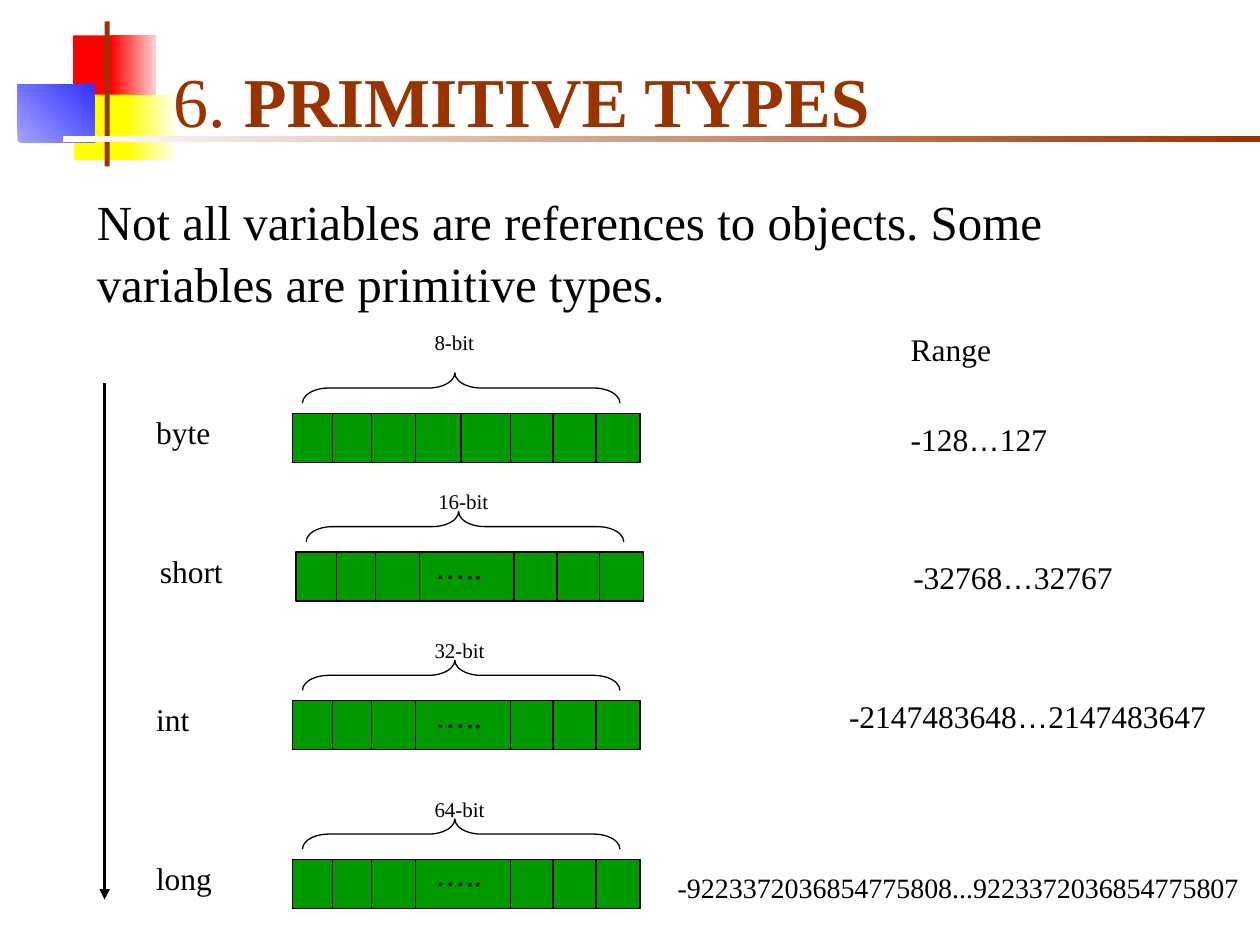
from lxml import etree
from pptx import Presentation
from pptx.dml.color import RGBColor
from pptx.enum.shapes import MSO_CONNECTOR, MSO_SHAPE
from pptx.enum.text import MSO_ANCHOR, PP_ALIGN
from pptx.oxml.ns import qn
from pptx.util import Inches, Pt

RECTANGLE, LEFT_BRACE = MSO_SHAPE.RECTANGLE, MSO_SHAPE.LEFT_BRACE
STRAIGHT = MSO_CONNECTOR.STRAIGHT
TOP, MIDDLE, BOTTOM = MSO_ANCHOR.TOP, MSO_ANCHOR.MIDDLE, MSO_ANCHOR.BOTTOM
LEFT = PP_ALIGN.LEFT
SERIF, SANS = "Times New Roman", "Arial"
COLORS = {
    "red": "FF0000", "pale red": "FFD1D1",
    "yellow": "FFFF00", "pale yellow": "FFFFEF",
    "blue": "3333FF", "pale blue": "A3A3FF",
    "brown": "993300", "white": "FFFFFF",
    "green": "009900", "black": "000000",
}
RGB = {name: RGBColor.from_string(value) for name, value in COLORS.items()}

prs = Presentation()
prs.slide_width, prs.slide_height = Inches(10), Inches(7.5)
slide = prs.slides.add_slide(prs.slide_layouts[5])
shapes = slide.shapes


def write(text, box=None, at=None, size=18, color="black", bold=False,
          anchor=MIDDLE, wrap=False):
    if box is None:
        box = shapes.add_textbox(*map(Inches, at))
    frame = box.text_frame
    frame.word_wrap = wrap
    frame.vertical_anchor = anchor
    paragraph = frame.paragraphs[0]
    paragraph.alignment = LEFT
    for part in filter(None, text.partition("…")):
        run = paragraph.add_run()
        run.text = part
        run.font.size = Pt(size)
        run.font.name = SANS if part == "…" else SERIF
        run.font.bold = bold
        run.font.color.rgb = RGB[color]
    return box


def draw_line(x, top, bottom, width=0.75):
    line = shapes.add_connector(STRAIGHT, Inches(x), Inches(top), Inches(x), Inches(bottom))
    line.line.color.rgb = RGB["black"]
    line.line.width = Pt(width)
    etree.SubElement(line._element.spPr, qn("a:effectLst"))
    return line


ornaments = [
    ((0.58, 0.28, 0.36, 0.52), ["red"], 0),
    ((0.88, 0.28, 0.36, 0.52), ["pale red", "red"], 180),
    ((0.59, 0.75, 0.46, 0.52), ["yellow"], 0),
    ((1, 0.75, 0.4, 0.52), ["pale yellow", "yellow"], 180),
    ((0.14, 0.67, 0.61, 0.46), ["pale blue", "blue"], 45),
    ((0.83, 0.17, 0.04, 1.15), ["brown"], 0),
    ((0.5, 1.08, 9.5, 0.05), ["white", "brown"], 0),
]
for place, tones, angle in ornaments:
    ornament = shapes.add_shape(RECTANGLE, *map(Inches, place))
    ornament.shadow.inherit = False
    ornament.line.fill.background()
    if len(tones) == 1:
        ornament.fill.solid()
        ornament.fill.fore_color.rgb = RGB[tones[0]]
    else:
        ornament.fill.gradient()
        ornament.fill.gradient_angle = angle
        for stop, tone in zip(ornament.fill.gradient_stops, tones):
            stop.color.rgb = RGB[tone]

title = shapes.title
title._element.getparent().append(title._element)
title.left, title.top, title.width, title.height = map(Inches, (1.22, 0.25, 8.63, 0.92))
title.text_frame.margin_left = Inches(0.16)
title.text_frame.paragraphs[0].line_spacing = Pt(48)
for words, bold in [("6. ", False), ("PRIMITIVE TYPES", True)]:
    write(words, box=title, size=40, color="brown", bold=bold, anchor=BOTTOM, wrap=True)

intro = write("Not all variables are references to objects. Some variables are primitive types.",
              at=(0.67, 1.47, 9.06, 1.04), size=28, wrap=True)
intro.text_frame.paragraphs[0].line_spacing = 1.05

write("Range", at=(7.13, 2.57, 0.9, 0.4))

BAR_WIDTH, BAR_HEIGHT = 2.76, 0.39
BRACE_DEPTH, BRACE_LENGTH = 0.24, 2.52
DIVIDERS = [0.32, 0.63, 0.98, 1.34, 1.73, 2.07, 2.41]
MIDDLE_DIVIDER = 1.34

primitives = [
    ("byte", 0.69, "8-bit", 2.57, 2.32, 3.28, "-128…127", (7.13, 3.28, 1.34, 0.4), 18),
    ("short", 0.76, "16-bit", 3.83, 2.35, 4.38, "-32768…32767", (7.15, 4.38, 1.84, 0.4), 18),
    ("int", 0.52, "32-bit", 5.01, 2.32, 5.56, "-2147483648…2147483647",
     (6.64, 5.48, 3.1, 0.4), 18),
    ("long", 0.7, "64-bit", 6.27, 2.32, 6.82, "-9223372036854775808...9223372036854775807",
     (5.28, 6.84, 4.71, 0.4), 16),
]
for name, name_width, bits, bits_top, left, top, limits, limits_at, limits_size in primitives:
    write(name, at=(left - 1.18, top - 0.05, name_width, 0.4))

    bar = shapes.add_shape(RECTANGLE, *map(Inches, (left, top, BAR_WIDTH, BAR_HEIGHT)))
    bar.shadow.inherit = False
    bar.fill.solid()
    bar.fill.fore_color.rgb = RGB["green"]
    bar.line.color.rgb = RGB["black"]
    bar.line.width = Pt(0.75)
    for offset in DIVIDERS:
        if name == "byte" or offset != MIDDLE_DIVIDER:
            draw_line(left + offset, top, top + BAR_HEIGHT)

    brace = shapes.add_shape(LEFT_BRACE, Inches(left + 1.22), Inches(top - 0.2 - BRACE_LENGTH / 2),
                             Inches(BRACE_DEPTH), Inches(BRACE_LENGTH))
    brace.rotation = 90
    brace.adjustments[0], brace.adjustments[1] = 0.87, 0.52
    brace.shadow.inherit = False
    brace.fill.background()
    brace.line.color.rgb = RGB["black"]
    brace.line.width = Pt(0.75)

    write(bits, at=(left + 1.03, bits_top, 0.71, 0.3), size=12, anchor=TOP, wrap=True)
    write(limits, at=limits_at, size=limits_size)
    if name != "byte":
        write("…..", at=(3.35, top - 0.08, 0.71, 0.4), anchor=TOP, wrap=True)

size_arrow = draw_line(0.83, 3.04, 7.14, width=1.5)
etree.SubElement(size_arrow.line._get_or_add_ln(), qn("a:tailEnd"), type="triangle")

prs.save("out.pptx")
